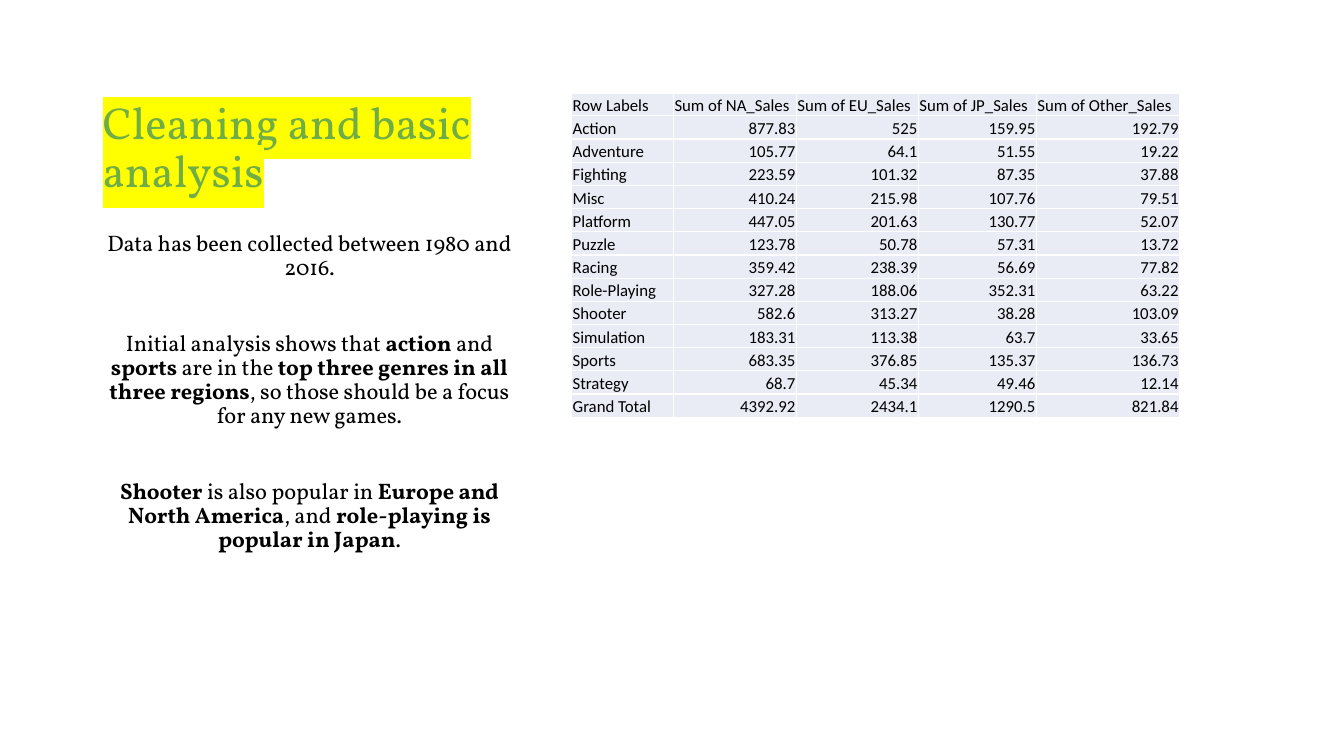
from dataclasses import dataclass

from lxml import etree
from pptx import Presentation, util as u
from pptx.dml.color import RGBColor
from pptx.enum import text
from pptx.oxml.ns import qn

TITLE = "Cleaning and basic analysis"
# Each finding is a list of (words, bold) pieces.
FINDINGS = [
    [("Data has been collected between 1980 and 2016.", False)],
    [("Initial analysis shows that ", False), ("action", True), (" and ", False),
     ("sports", True), (" are in the ", False),
     ("top three genres in all three regions", True),
     (", so those should be a focus for any new games.", False)],
    [("Shooter", True), (" is also popular in ", False),
     ("Europe and North America", True), (", and ", False),
     ("role-playing is popular in Japan", True), (".", False)],
]
SALES = [
    ("Row Labels", "Sum of NA_Sales", "Sum of EU_Sales", "Sum of JP_Sales", "Sum of Other_Sales"),
    ("Action", 877.83, 525, 159.95, 192.79),
    ("Adventure", 105.77, 64.1, 51.55, 19.22),
    ("Fighting", 223.59, 101.32, 87.35, 37.88),
    ("Misc", 410.24, 215.98, 107.76, 79.51),
    ("Platform", 447.05, 201.63, 130.77, 52.07),
    ("Puzzle", 123.78, 50.78, 57.31, 13.72),
    ("Racing", 359.42, 238.39, 56.69, 77.82),
    ("Role-Playing", 327.28, 188.06, 352.31, 63.22),
    ("Shooter", 582.6, 313.27, 38.28, 103.09),
    ("Simulation", 183.31, 113.38, 63.7, 33.65),
    ("Sports", 683.35, 376.85, 135.37, 136.73),
    ("Strategy", 68.7, 45.34, 49.46, 12.14),
    ("Grand Total", 4392.92, 2434.1, 1290.5, 821.84),
]


@dataclass(frozen=True)
class Theme:
    serif: str = "Vollkorn"
    sans: str = "Calibri"
    ink: str = "000000"
    green: str = "70AD47"
    yellow: str = "FFFF00"
    cell: str = "E9EBF5"
    rule: str = "FFFFFF"
    title: int = 32
    body: int = 16
    table: int = 12


T = Theme()
WIDTH, HEIGHT = 13.33, 7.5
LEFT, COLUMN = 0.92, 4.3
TITLE_TOP, TITLE_HEIGHT = 0.35, 1.66
BODY_TOP, BODY_HEIGHT = 2.25, 4.17
TABLE_LEFT, TABLE_TOP = 5.67, 0.93
COL_WIDTHS = [1.01, 1.22, 1.21, 1.17, 1.42]
ROW_HEIGHTS = [0.22] + [0.23] * (len(SALES) - 1)
FINDING_GAP = 37


def add_run(p, words, size, font=T.serif, color=T.ink, bold=False, highlight=None):
    r = p.add_run()
    r.text = words
    r.font.size, r.font.name, r.font.bold = u.Pt(size), font, bold
    r.font.color.rgb = RGBColor.from_string(color)
    if highlight:
        mark = etree.Element(qn("a:highlight"))
        etree.SubElement(mark, qn("a:srgbClr"), val=highlight)
        r.font._element.find(qn("a:solidFill")).addnext(mark)


def add_column_box(s, top, height, anchor):
    """Add a wrapping text frame in the left column."""
    tf = s.shapes.add_textbox(*map(u.Inches, (LEFT, top, COLUMN, height))).text_frame
    tf.word_wrap, tf.vertical_anchor = True, anchor
    return tf


def format_cell(cell):
    cell.fill.solid()
    cell.fill.fore_color.rgb = RGBColor.from_string(T.cell)
    cell.vertical_anchor = text.MSO_ANCHOR.BOTTOM
    cell.margin_left = cell.margin_right = cell.margin_top = u.Inches(0.01)
    cell.margin_bottom = 0
    tc_pr = cell._tc.get_or_add_tcPr()
    for i, side in enumerate("LRTB"):
        ln = etree.Element(qn(f"a:ln{side}"), w=str(u.Pt(1)))
        fill = etree.SubElement(ln, qn("a:solidFill"))
        etree.SubElement(fill, qn("a:srgbClr"), val=T.rule)
        tc_pr.insert(i, ln)


def add_sales_table(s):
    frame = s.shapes.add_table(
        len(SALES), len(COL_WIDTHS), u.Inches(TABLE_LEFT), u.Inches(TABLE_TOP),
        u.Inches(sum(COL_WIDTHS)), u.Inches(sum(ROW_HEIGHTS)))
    table = frame.table
    table.first_row = table.horz_banding = False
    for column, width in zip(table.columns, COL_WIDTHS):
        column.width = u.Inches(width)
    for row, height, values in zip(table.rows, ROW_HEIGHTS, SALES):
        row.height = u.Inches(height)
        for cell, value in zip(row.cells, values):
            format_cell(cell)
            p = cell.text_frame.paragraphs[0]
            if not isinstance(value, str):
                p.alignment = text.PP_ALIGN.RIGHT
            add_run(p, str(value), T.table, font=T.sans)


def main():
    prs = Presentation()
    prs.slide_width, prs.slide_height = u.Inches(WIDTH), u.Inches(HEIGHT)
    s = prs.slides.add_slide(prs.slide_layouts[6])

    p = add_column_box(s, TITLE_TOP, TITLE_HEIGHT, text.MSO_ANCHOR.BOTTOM).paragraphs[0]
    p.line_spacing = 0.9
    add_run(p, TITLE, T.title, color=T.green, highlight=T.yellow)

    tf = add_column_box(s, BODY_TOP, BODY_HEIGHT, text.MSO_ANCHOR.TOP)
    for i, finding in enumerate(FINDINGS):
        p = tf.add_paragraph() if i else tf.paragraphs[0]
        p.alignment, p.line_spacing = text.PP_ALIGN.CENTER, 0.9
        p.space_before = u.Pt(FINDING_GAP if i else 0)
        for words, bold in finding:
            add_run(p, words, T.body, bold=bold)

    add_sales_table(s)
    prs.save("out.pptx")


if __name__ == "__main__":
    main()
